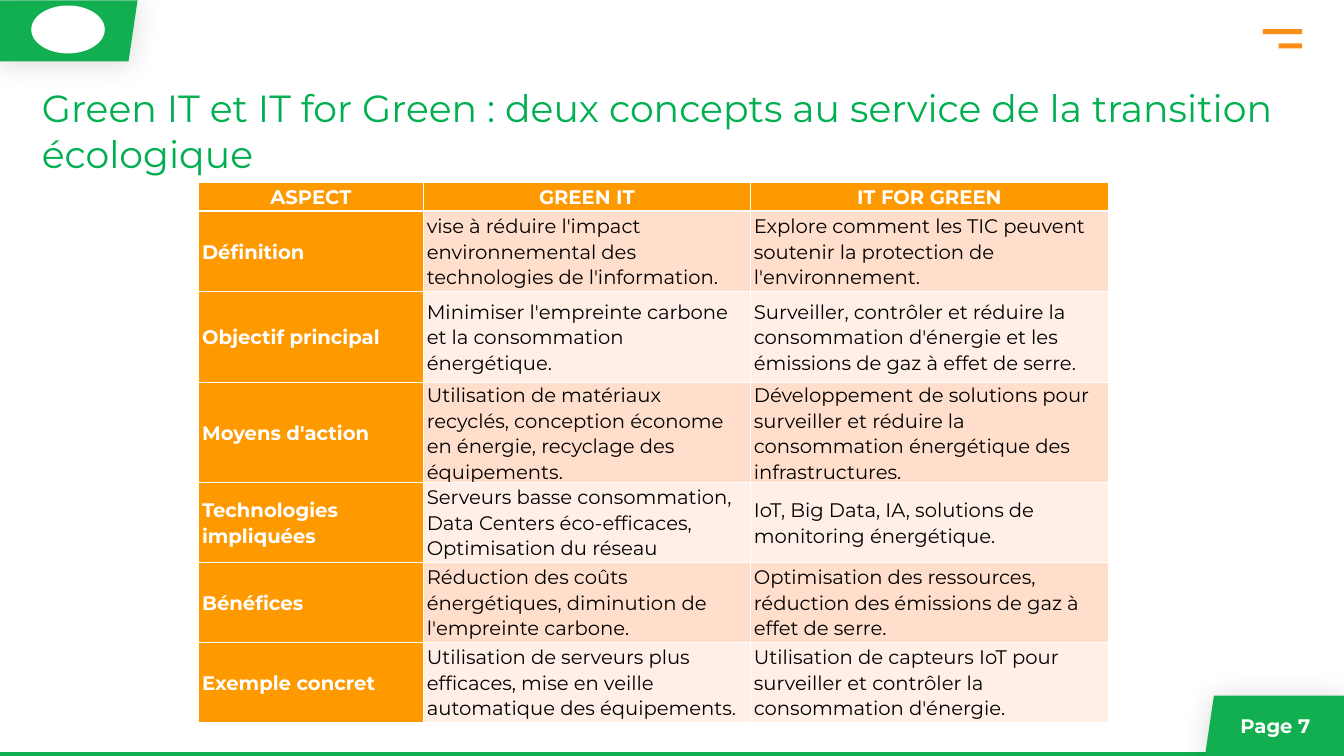
from lxml import etree
from pptx import Presentation
from pptx.dml.color import RGBColor
from pptx.enum.shapes import MSO_CONNECTOR, MSO_SHAPE
from pptx.enum.text import MSO_ANCHOR as ANCHOR, PP_ALIGN as ALIGN
from pptx.oxml.ns import qn
from pptx.util import Inches, Pt

C = {
    "green": "11AF50", "title": "00B050", "accent": "FD8E16",
    "head": "FF9900", "band_dark": "FFDECC", "band_light": "FFEFE7",
    "white": "FFFFFF", "black": "000000",
}
FONT = "Montserrat"

COLS = [4.46, 6.49, 7.1]
ROWS = [0.58, 1.59, 1.8, 1.8, 1.58, 1.59, 1.59]
CELLS = [
    ("ASPECT", "GREEN IT", "IT FOR GREEN"),
    ("Définition",
     "vise à réduire l'impact environnemental des technologies de l'information.",
     "Explore comment les TIC peuvent soutenir la protection de l'environnement."),
    ("Objectif principal",
     "Minimiser l'empreinte carbone et la consommation énergétique.",
     "Surveiller, contrôler et réduire la consommation d'énergie et les émissions "
     "de gaz à effet de serre."),
    ("Moyens d'action",
     "Utilisation de matériaux recyclés, conception économe en énergie, recyclage "
     "des équipements.",
     "Développement de solutions pour surveiller et réduire la consommation "
     "énergétique des infrastructures."),
    ("Technologies impliquées",
     "Serveurs basse consommation, Data Centers éco-efficaces, Optimisation du réseau",
     "IoT, Big Data, IA, solutions de monitoring énergétique."),
    ("Bénéfices",
     "Réduction des coûts énergétiques, diminution de l'empreinte carbone.",
     "Optimisation des ressources, réduction des émissions de gaz à effet de serre."),
    ("Exemple concret",
     "Utilisation de serveurs plus efficaces, mise en veille automatique des équipements.",
     "Utilisation de capteurs IoT pour surveiller et contrôler la consommation d'énergie."),
]


def rgb(name):
    return RGBColor.from_string(C[name])


def write(tf, text, size=28, color="black", bold=False, align=ALIGN.LEFT,
          spacing=None, after=None):
    p = tf.paragraphs[0]
    p.alignment = align
    p.line_spacing = spacing
    p.space_after = None if after is None else Pt(after)
    r = p.add_run()
    r.text = text
    r.font.name, r.font.size, r.font.bold = FONT, Pt(size), bold
    r.font.color.rgb = rgb(color)


def add_text(s, box, text, insets=(0, 0, 0, 0), **fmt):
    tf = s.shapes.add_textbox(*map(Inches, box)).text_frame
    tf.word_wrap = True
    tf.margin_left, tf.margin_top, tf.margin_right, tf.margin_bottom = map(Inches, insets)
    write(tf, text, **fmt)


def paint(sp, color):
    sp.shadow.inherit = False
    sp.fill.solid()
    sp.fill.fore_color.rgb = rgb(color)
    sp.line.fill.background()


def add_shape(s, kind, box, color):
    sp = s.shapes.add_shape(kind, *map(Inches, box))
    paint(sp, color)


def add_tab(s, x, y, points):
    """Green slanted tab with a soft shadow; points are relative to (x, y)."""
    pts = [(Inches(x + dx), Inches(y + dy)) for dx, dy in points]
    fb = s.shapes.build_freeform(*pts[0])
    fb.add_line_segments(pts[1:], close=True)
    sp = fb.convert_to_shape()
    paint(sp, "green")
    effects = sp._element.spPr.find(qn("a:effectLst"))
    shadow = etree.SubElement(effects, qn("a:outerShdw"), blurRad=str(Pt(40)),
                              dist=str(Pt(3)), dir="5400000", rotWithShape="0")
    clr = etree.SubElement(shadow, qn("a:srgbClr"), val=C["black"])
    etree.SubElement(clr, qn("a:alpha"), val="15000")


def add_footer(s, x, y, w, h):
    # Rule along the bottom edge
    line = s.shapes.add_connector(MSO_CONNECTOR.STRAIGHT, Inches(0), Inches(y + h - 0.05),
                                  Inches(x + w), Inches(y + h - 0.05))
    line.line.color.rgb = rgb("green")
    line.line.width = Pt(6)
    etree.SubElement(line._element.spPr, qn("a:effectLst"))
    # Page number tab
    add_tab(s, x, y, [(0.18, 0), (w, 0), (w, h), (0, h)])
    add_text(s, (x - 1.68, y + 0.31, 3.97, 0.57), "Page 7", insets=(0.1, 0.05, 0.2, 0.05),
             color="white", bold=True, align=ALIGN.RIGHT)


def add_header(s, x, y, w, h):
    # Tab with a plain badge
    add_tab(s, x, y, [(0, 0), (w, 0), (w - 0.18, h), (0, h)])
    add_shape(s, MSO_SHAPE.OVAL, (x + 0.65, y + 0.1, 1.46, 0.95), "white")


def add_menu_mark(s, x, y, w):
    for i, bar_w in enumerate((w, 0.6 * w)):
        add_shape(s, MSO_SHAPE.RECTANGLE, (x + w - bar_w, y + 0.28 * i, bar_w, 0.1), "accent")


def set_border(cell, side, width):
    ln = etree.SubElement(cell._tc.get_or_add_tcPr(), qn("a:" + side), w=str(Pt(width)))
    fill = etree.SubElement(ln, qn("a:solidFill"))
    etree.SubElement(fill, qn("a:srgbClr"), val=C["white"])


def fill_cell(cell, row, col, text):
    is_head = row == 0 or col == 0
    # Borders come before the fill in the cell properties
    for side in ("lnL", "lnR", "lnT", "lnB"):
        thick = (row, side) in ((0, "lnB"), (1, "lnT"))
        set_border(cell, side, 3 if thick else 1)
    cell.fill.solid()
    cell.fill.fore_color.rgb = rgb(
        "head" if is_head else "band_dark" if row % 2 else "band_light")
    cell.vertical_anchor = ANCHOR.MIDDLE
    cell.margin_left = cell.margin_right = Inches(0.07)
    cell.margin_top = cell.margin_bottom = 0
    write(cell.text_frame, text, color="white" if is_head else "black", bold=is_head,
          align=ALIGN.LEFT if row else ALIGN.CENTER, spacing=1.07, after=8)


def add_comparison(s, x, y):
    table = s.shapes.add_table(len(ROWS), len(COLS), Inches(x), Inches(y),
                               Inches(sum(COLS)), Inches(sum(ROWS))).table
    for col, w in zip(table.columns, COLS):
        col.width = Inches(w)
    for row, h in zip(table.rows, ROWS):
        row.height = Inches(h)
    for i, texts in enumerate(CELLS):
        for j, text in enumerate(texts):
            fill_cell(table.cell(i, j), i, j, text)


def main():
    prs = Presentation()
    prs.slide_width, prs.slide_height = Inches(26.67), Inches(15)
    s = prs.slides.add_slide(prs.slide_layouts[6])
    add_footer(s, 23.91, 13.8, 2.76, 1.21)
    add_menu_mark(s, 25.06, 0.58, 0.78)
    add_header(s, -0.03, 0.01, 2.76, 1.21)
    add_text(s, (0.83, 1.69, 24.63, 1.92),
             "Green IT et IT for Green : deux concepts au service de la transition écologique",
             size=54, color="title")
    add_comparison(s, 3.94, 3.61)
    prs.save("out.pptx")


if __name__ == "__main__":
    main()
